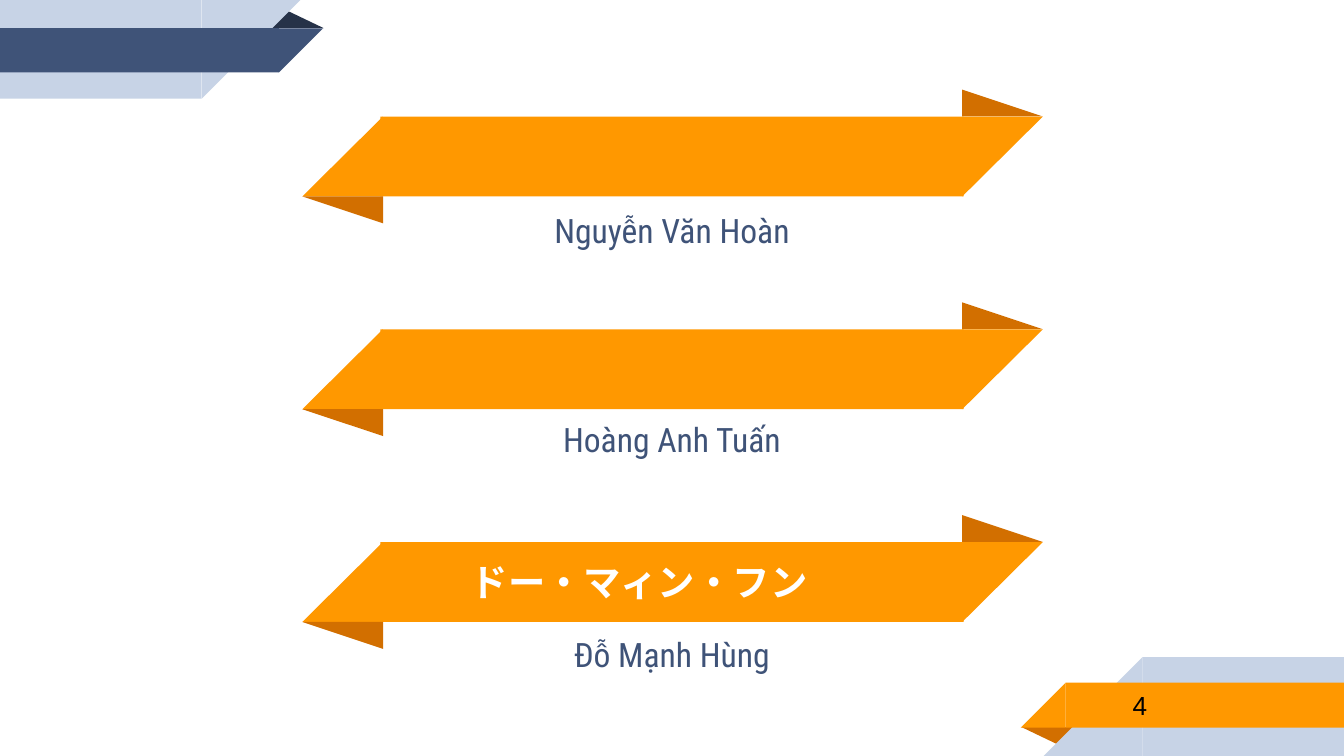
"""Build a team slide with three folded name ribbons and two ribbon corners."""
from dataclasses import dataclass

from pptx import Presentation
from pptx.dml.color import RGBColor
from pptx.enum.shapes import MSO_SHAPE
from pptx.enum.text import MSO_ANCHOR, PP_ALIGN
from pptx.util import Inches, Pt

RECT = MSO_SHAPE.RECTANGLE
CORNER = MSO_SHAPE.RIGHT_TRIANGLE
FOLD = MSO_SHAPE.ISOSCELES_TRIANGLE
MIDDLE = MSO_ANCHOR.MIDDLE
LEFT, CENTER = PP_ALIGN.LEFT, PP_ALIGN.CENTER


@dataclass(frozen=True)
class Theme:
    orange: str = "FF9800"
    rust: str = "D26F00"
    pale: str = "C7D3E6"
    navy: str = "3F5378"
    night: str = "263248"
    white: str = "FFFFFF"
    black: str = "000000"
    font: str = "Roboto Condensed"
    number_font: str = "Arial"
    title_size: int = 20
    name_size: int = 18
    number_size: int = 14


theme = Theme()
prs = Presentation()
prs.slide_width, prs.slide_height = Inches(10), Inches(5.625)
COL = prs.slide_width / 100
ROW = prs.slide_height / 56.25
s = prs.slides.add_slide(prs.slide_layouts[6])


def add_piece(kind, col, row, cols, rows, color, turn=0, flip=False, apex=None):
    sp = s.shapes.add_shape(
        kind, int(col * COL), int(row * ROW), int(cols * COL), int(rows * ROW))
    sp.shadow.inherit = False
    sp.fill.solid()
    sp.fill.fore_color.rgb = RGBColor.from_string(color)
    sp.line.fill.background()
    sp.rotation = turn
    if flip:
        sp._element.spPr.get_or_add_xfrm().set("flipH", "1")
    if apex is not None:
        sp.adjustments[0] = apex


def add_label(text, col, row, cols, rows, size, color, font=theme.font,
              bold=False, align=CENTER, right_inset=1):
    sp = s.shapes.add_textbox(
        int(col * COL), int(row * ROW), int(cols * COL), int(rows * ROW))
    tf = sp.text_frame
    tf.word_wrap = True
    tf.vertical_anchor = MIDDLE
    tf.margin_left = tf.margin_top = tf.margin_bottom = int(COL)
    tf.margin_right = int(right_inset * COL)
    p = tf.paragraphs[0]
    p.alignment = align
    r = p.add_run()
    r.text = text
    r.font.name, r.font.size, r.font.bold = font, Pt(size), bold
    r.font.color.rgb = RGBColor.from_string(color)


add_piece(FOLD, 76, 54.1, 4.3, 1.4, theme.rust, turn=180, apex=0.32)
for edge, row, size, color in ((85, 48.9, 7.35, theme.pale),
                               (79.3, 50.8, 3.35, theme.orange)):
    add_piece(RECT, edge, row, 100 - edge, size, color)
    add_piece(CORNER, edge - size, row, size, size, color, flip=True)

add_piece(FOLD, 19.8, 0.7, 4.3, 1.4, theme.night, apex=0.32)
for edge, row, size, color in ((15, 0, 7.35, theme.pale),
                               (20.75, 2.1, 3.3, theme.navy)):
    add_piece(RECT, 0, row, edge, size, color)
    add_piece(CORNER, edge, row, size, size, color, turn=180, flip=True)

RIBBON_TOP, RIBBON_PITCH, RIBBON, FOLD_ROWS = 8.67, 15.83, 5.95, 2
RIBBON_LEFT, RIBBON_RIGHT = 22.5, 71.6
members = (("", "Nguyễn Văn Hoàn", 14.6, 5.1),
           ("", "Hoàng Anh Tuấn", 30.4, 4.5),
           ("ドー・マィン・フン", "Đỗ Mạnh Hùng", 46.4, 4.5))

for i, (title, name, name_row, name_rows) in enumerate(members):
    top = RIBBON_TOP + i * RIBBON_PITCH
    add_piece(FOLD, RIBBON_RIGHT, top - FOLD_ROWS, 6, FOLD_ROWS, theme.rust, apex=0)
    add_piece(RECT, 28.3, top, 43.4, RIBBON, theme.orange)
    add_piece(CORNER, RIBBON_RIGHT, top, 6, RIBBON, theme.orange, turn=180, flip=True)
    add_piece(CORNER, RIBBON_LEFT, top, 6, RIBBON, theme.orange, flip=True)
    add_piece(FOLD, RIBBON_LEFT, top + RIBBON, 6, FOLD_ROWS, theme.rust,
              turn=180, apex=0)
    if title:
        add_label(title, 28.6, top, 42.8, RIBBON, theme.title_size, theme.white,
                  bold=True, right_inset=5.8)
    add_label(name, 28.6, name_row, 42.8, name_rows, theme.name_size, theme.navy)

add_label("4", 83.3, 50.7, 16.3, 3.5, theme.number_size, theme.black,
          font=theme.number_font, align=LEFT)

prs.save("out.pptx")
